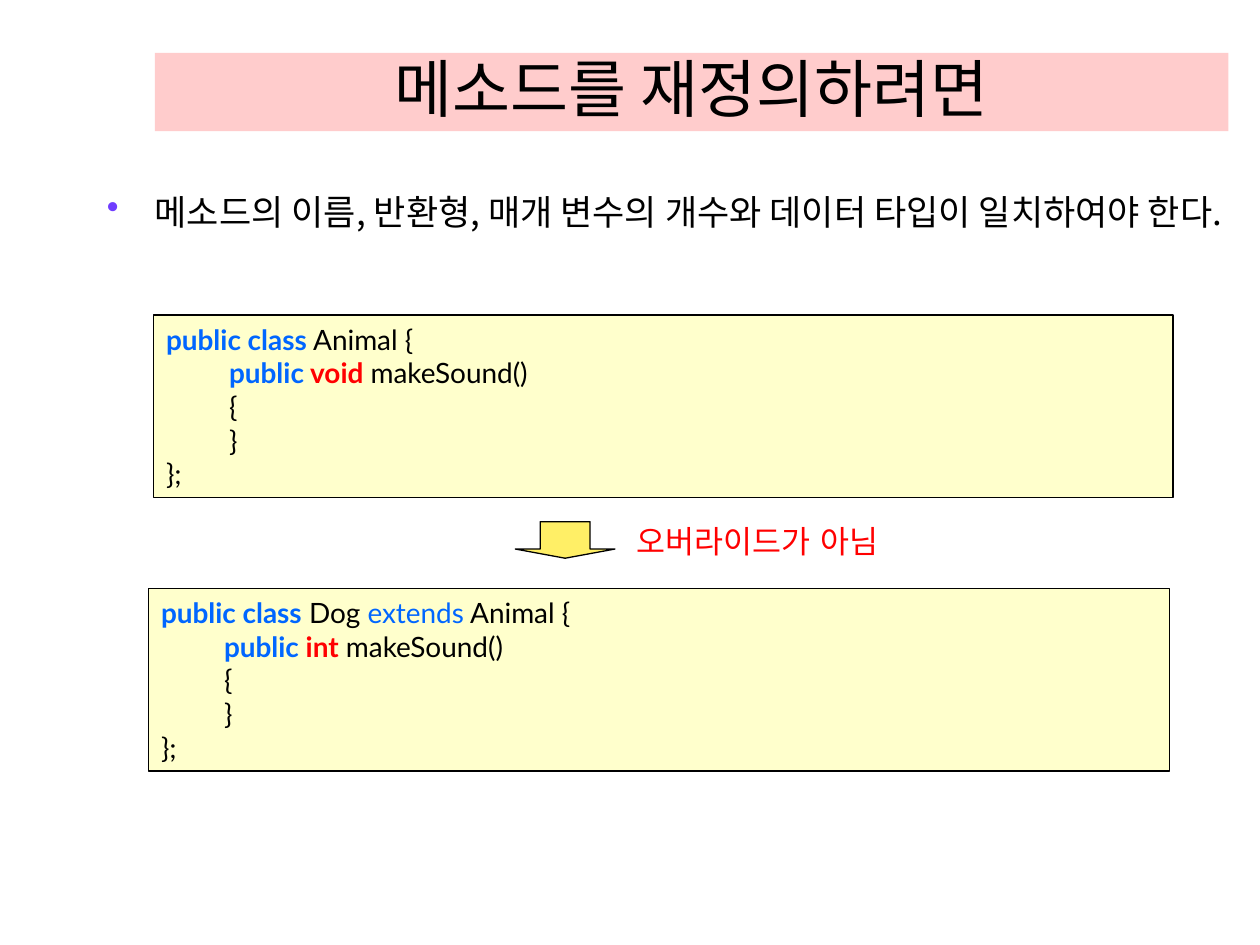
from lxml import etree
from pptx import Presentation
from pptx.dml.color import RGBColor
from pptx.enum import shapes, text
from pptx.oxml.ns import qn
from pptx.util import Inches, Pt

COLORS = {
    "black": "000000", "red": "FF0000", "keyword": "0066FF", "bullet": "703DFF",
    "title": "FFCCCC", "code": "FFFFCC", "arrow": "FFEF66",
}
KOREAN, LATIN, LABEL = "Noto Sans CJK KR", "Lato", "Comic Neue"


def color(name):
    return RGBColor.from_string(COLORS[name])


def add_run(p, content, size=16, font=LATIN, ink="black", bold=False):
    r = p.add_run()
    r.text = content
    r.font.size = Pt(size)
    r.font.name = font
    r.font.bold = bold
    r.font.color.rgb = color(ink)
    etree.SubElement(r._r.get_or_add_rPr(), qn("a:ea"), typeface=font)
    return r


def add_box(s, kind, box, fill, outlined=True):
    sp = s.shapes.add_shape(kind, *map(Inches, box))
    sp.shadow.inherit = False
    sp.fill.solid()
    sp.fill.fore_color.rgb = color(fill)
    if outlined:
        sp.line.color.rgb = color("black")
        sp.line.width = Pt(0.75)
    else:
        sp.line.fill.background()
    return sp


def add_title(s, content, box):
    sp = add_box(s, shapes.MSO_SHAPE.RECTANGLE, box, "title", outlined=False)
    tf = sp.text_frame
    tf.vertical_anchor = text.MSO_ANCHOR.BOTTOM
    p = tf.paragraphs[0]
    p.alignment = text.PP_ALIGN.CENTER
    add_run(p, content, size=36, font=KOREAN)


def add_text(s, content, box, wrap=True, bullet=False, **style):
    tf = s.shapes.add_textbox(*map(Inches, box)).text_frame
    tf.word_wrap = wrap
    p = tf.paragraphs[0]
    if bullet:
        add_bullet(p)
    add_run(p, content, **style)


def add_bullet(p):
    p.space_before = Pt(4)
    pPr = p._p.get_or_add_pPr()
    indent = Inches(0.38)
    pPr.set("marL", str(indent))
    pPr.set("indent", str(-indent))
    clr = etree.SubElement(pPr, qn("a:buClr"))
    etree.SubElement(clr, qn("a:srgbClr"), val=COLORS["bullet"])
    etree.SubElement(pPr, qn("a:buChar"), char="•")


def add_code(s, box, header, return_type):
    """Class listing; header is a list of (text, format) runs."""
    sp = add_box(s, shapes.MSO_SHAPE.RECTANGLE, box, "code")
    tf = sp.text_frame
    tf.word_wrap = True
    tf.vertical_anchor = text.MSO_ANCHOR.MIDDLE
    keyword = dict(ink="keyword", bold=True)
    lines = [
        [("public class", keyword), *header],
        [("\t", {}), ("public", keyword),
         (f" {return_type}", dict(ink="red", bold=True)), (" makeSound()", {})],
        [("\t{", {})],
        [("\t}", {})],
        [("};", {})],
    ]
    for i, line in enumerate(lines):
        p = tf.add_paragraph() if i else tf.paragraphs[0]
        p.alignment = text.PP_ALIGN.LEFT
        for content, style in line:
            add_run(p, content, **style)


def add_arrow_tip(s, x, y):
    """Zero-length line that shows only its arrowhead."""
    point = Inches(x), Inches(y)
    c = s.shapes.add_connector(shapes.MSO_CONNECTOR.STRAIGHT, *point, *point)
    c.line.color.rgb = color("black")
    c.line.width = Pt(0.75)
    etree.SubElement(c.line._get_or_add_ln(), qn("a:tailEnd"), type="triangle")
    etree.SubElement(c._element.spPr, qn("a:effectLst"))


def main():
    prs = Presentation()
    prs.slide_width, prs.slide_height = Inches(10), Inches(7.5)
    s = prs.slides.add_slide(prs.slide_layouts[6])

    add_title(s, "메소드를 재정의하려면", (1.23, 0.42, 8.52, 0.62))
    add_text(s, "메소드의 이름, 반환형, 매개 변수의 개수와 데이터 타입이 일치하여야 한다.",
             (0.75, 1.46, 8.98, 4.54), bullet=True, size=20, font=KOREAN)
    add_code(s, (1.22, 2.5, 8.09, 1.45), [(" Animal {", {})], "void")
    add_code(s, (1.18, 4.67, 8.1, 1.45),
             [(" Dog ", {}), ("extends", dict(ink="keyword")), (" Animal {", {})], "int")
    add_arrow_tip(s, 4.28, 4.13)
    arrow = add_box(s, shapes.MSO_SHAPE.DOWN_ARROW, (4.09, 4.14, 0.79, 0.29), "arrow")
    arrow.adjustments[0], arrow.adjustments[1] = 0.5, 0.25
    add_text(s, "오버라이드가 아님", (4.95, 4.09, 2.28, 0.4), wrap=False,
             size=18, font=LABEL, ink="red")

    prs.save("out.pptx")


if __name__ == "__main__":
    main()
